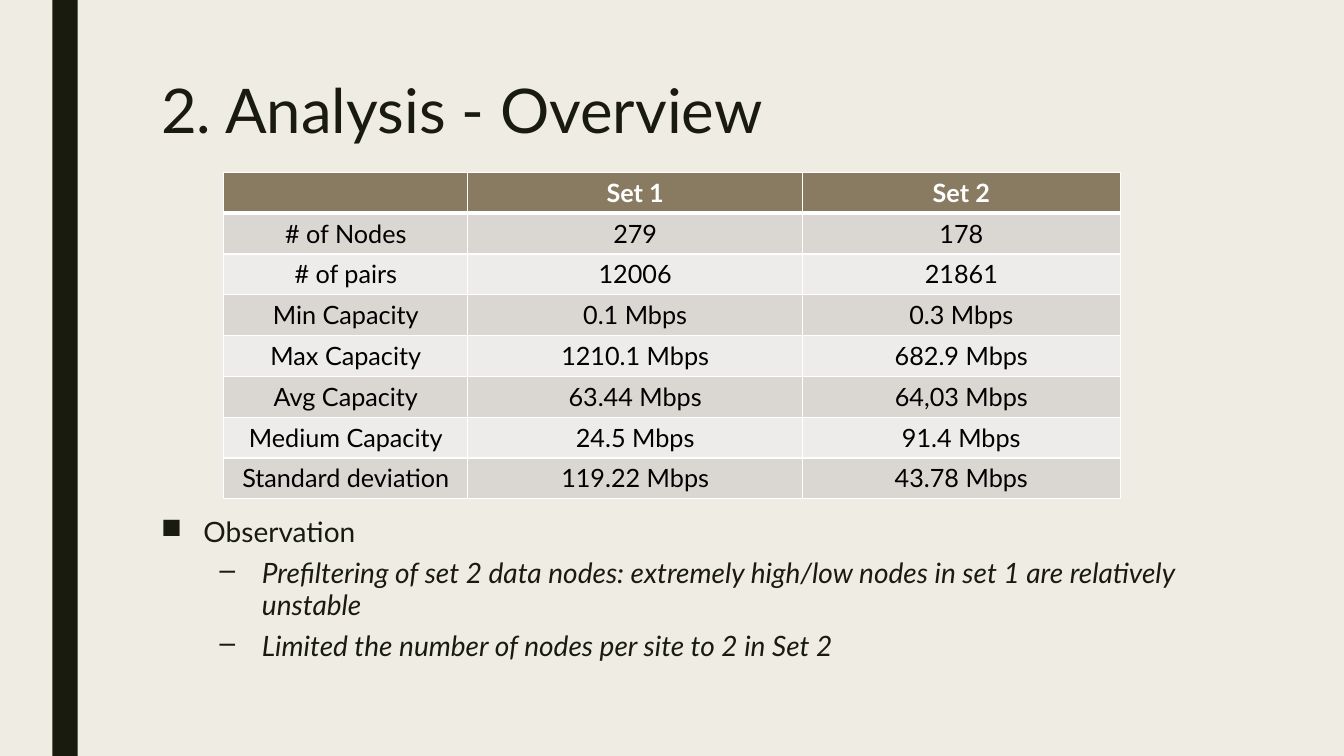
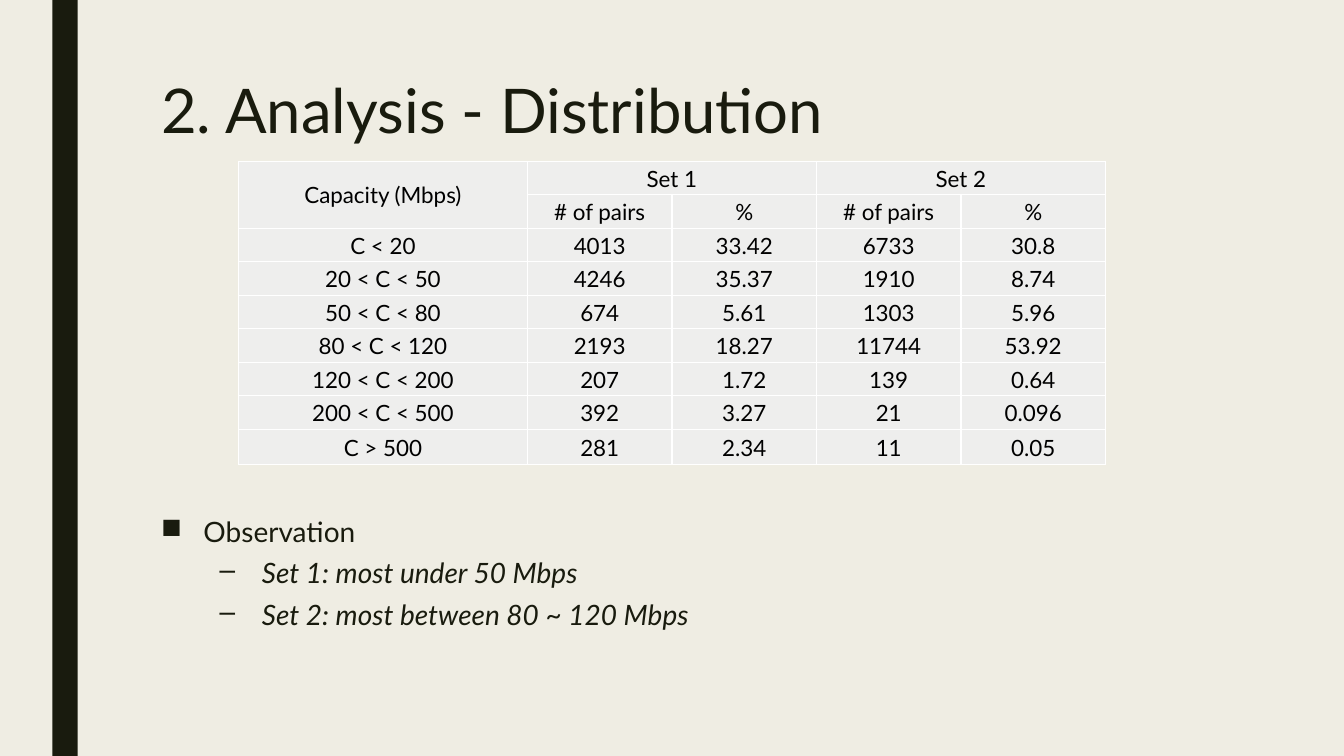
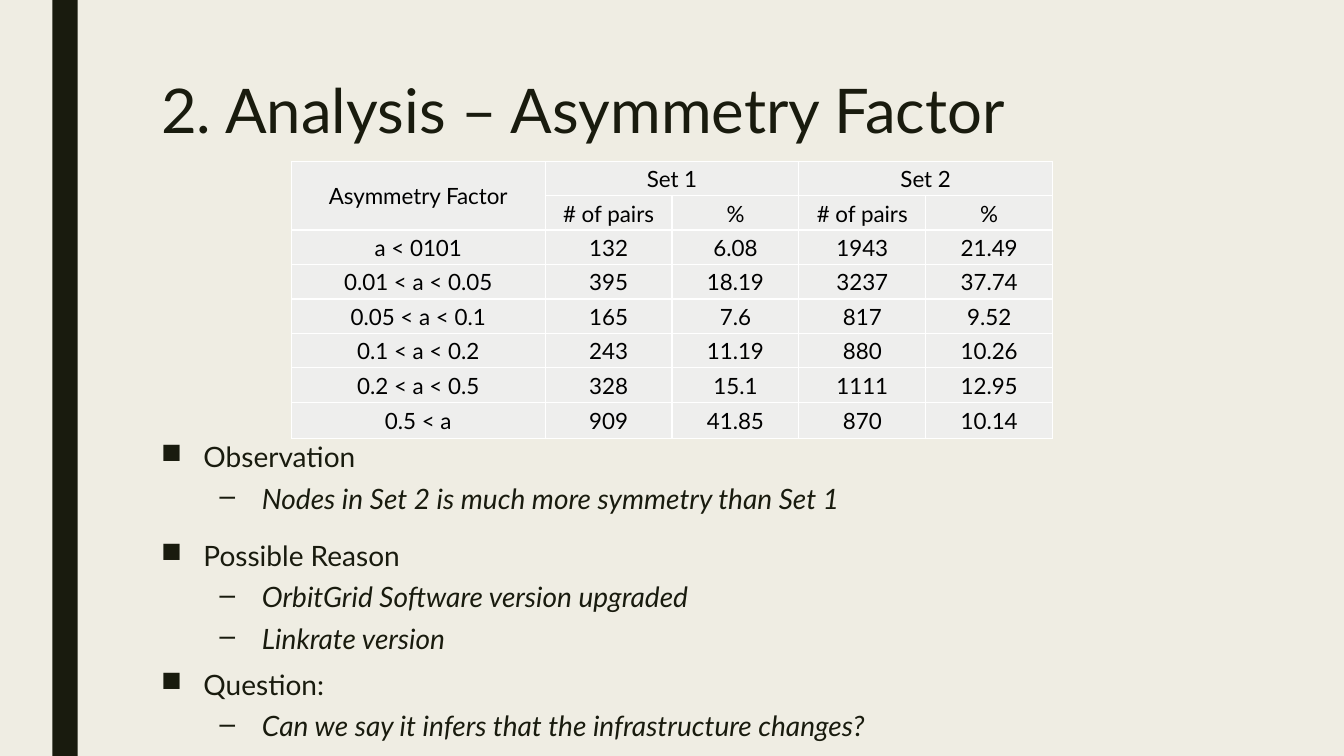
from dataclasses import dataclass

from lxml import etree
from pptx import Presentation
from pptx import util as u
from pptx.dml.color import RGBColor
from pptx.enum import shapes, text
from pptx.oxml import ns


@dataclass(frozen=True)
class Theme:
    font: str = "Lato"
    background: str = "EFEDE3"
    ink: str = "191B0E"
    black: str = "000000"
    white: str = "FFFFFF"
    header: str = "897B61"
    bands: tuple = ("DAD7D2", "EDECEA")
    plain: str = "EEEEED"
    title_size: int = 44
    body_size: int = 20
    table_size: int = 18
    grid_size: int = 16
    slide_width: float = 13.33
    slide_height: float = 7.5
    text_left: float = 1.5
    text_width: float = 10.5


class Deck:
    def __init__(self, theme):
        self.theme = theme
        self.presentation = Presentation()
        self.presentation.slide_width = u.Inches(theme.slide_width)
        self.presentation.slide_height = u.Inches(theme.slide_height)
        self.slide = None

    def style(self, paragraph, size, color, bold=False, italic=False):
        font = paragraph.font
        font.name = self.theme.font
        font.size = u.Pt(size)
        font.bold = bold
        font.italic = italic
        font.color.rgb = RGBColor.from_string(color)

    def new_slide(self, title):
        theme = self.theme
        self.slide = self.presentation.slides.add_slide(self.presentation.slide_layouts[6])
        fill = self.slide.background.fill
        fill.solid()
        fill.fore_color.rgb = RGBColor.from_string(theme.background)
        bar = self.slide.shapes.add_shape(
            shapes.MSO_SHAPE.RECTANGLE,
            u.Inches(0.52), 0, u.Inches(0.25), u.Inches(theme.slide_height))
        bar.shadow.inherit = False
        bar.fill.solid()
        bar.fill.fore_color.rgb = RGBColor.from_string(theme.ink)
        bar.line.fill.background()
        paragraph = self.text_frame(0.75, 0.85).paragraphs[0]
        paragraph.text = title
        paragraph.line_spacing = 0.89
        self.style(paragraph, theme.title_size, theme.ink)

    def text_frame(self, top, height):
        box = self.slide.shapes.add_textbox(
            u.Inches(self.theme.text_left), u.Inches(top),
            u.Inches(self.theme.text_width), u.Inches(height))
        box.text_frame.word_wrap = True
        return box.text_frame

    def bullets(self, top, height, heading, points):
        frame = self.text_frame(top, height)
        for index, line in enumerate([heading, *points]):
            is_point = index > 0
            paragraph = frame.add_paragraph() if is_point else frame.paragraphs[0]
            paragraph.text = line
            paragraph.level = int(is_point)
            paragraph.line_spacing = 0.94
            paragraph.space_before = u.Pt(5 if is_point else 10)
            paragraph.space_after = u.Pt(2)
            properties = paragraph._p.get_or_add_pPr()
            properties.set("marL", str(u.Inches(1 if is_point else 0.42)))
            properties.set("indent", str(-u.Inches(0.42)))
            bullet = etree.SubElement(properties, ns.qn("a:buChar"))
            bullet.set("char", "–" if is_point else "■")
            self.style(paragraph, self.theme.body_size, self.theme.ink, italic=is_point)

    def add_table(self, top, columns, heights, rows):
        width = sum(columns)
        frame = self.slide.shapes.add_table(
            len(rows), len(columns),
            u.Inches((self.theme.slide_width - width) / 2), u.Inches(top),
            u.Inches(width), u.Inches(sum(heights)))
        table = frame.table
        table.first_row = False
        table.horz_banding = False
        for column, size in zip(table.columns, columns):
            column.width = u.Inches(size)
        for row, size in zip(table.rows, heights):
            row.height = u.Inches(size)
        return table

    def fill_cell(self, cell, value, fill, size, color, bold=False, edges=None):
        properties = cell._tc.get_or_add_tcPr()
        for side in ("lnL", "lnR", "lnT", "lnB"):
            weight = (edges or {}).get(side, 1)
            line = etree.SubElement(properties, ns.qn(f"a:{side}"), w=str(u.Pt(weight)))
            solid = etree.SubElement(line, ns.qn("a:solidFill"))
            etree.SubElement(solid, ns.qn("a:srgbClr"), val=self.theme.white)
        cell.fill.solid()
        cell.fill.fore_color.rgb = RGBColor.from_string(fill)
        paragraph = cell.text_frame.paragraphs[0]
        paragraph.text = value
        paragraph.alignment = text.PP_ALIGN.CENTER
        self.style(paragraph, size, color, bold)

    def banded_table(self, top, columns, row_height, rows):
        theme = self.theme
        table = self.add_table(top, columns, [row_height] * len(rows), rows)
        for row_index, row in enumerate(rows):
            is_header = row_index == 0
            fill = theme.header if is_header else theme.bands[(row_index - 1) % 2]
            color = theme.white if is_header else theme.black
            edges = {0: {"lnB": 3}, 1: {"lnT": 3}}.get(row_index)
            for column_index, value in enumerate(row):
                self.fill_cell(table.cell(row_index, column_index), value, fill,
                               theme.table_size, color, is_header, edges)

    def grouped_table(self, width, height, last_row, label, records):
        rows = [(label, "Set 1", "", "Set 2", ""),
                ("", "# of pairs", "%", "# of pairs", "%"), *records]
        unit = width / 6
        row_height = (height - last_row) / (len(rows) - 1)
        heights = [row_height] * (len(rows) - 1) + [last_row]
        table = self.add_table(1.6, [2 * unit] + [unit] * 4, heights, rows)
        for row_index, row in enumerate(rows):
            for column_index, value in enumerate(row):
                cell = table.cell(row_index, column_index)
                cell.vertical_anchor = text.MSO_ANCHOR.MIDDLE
                cell.margin_left = cell.margin_right = cell.margin_top = u.Inches(0.01)
                cell.margin_bottom = 0
                self.fill_cell(cell, value, self.theme.plain,
                               self.theme.grid_size, self.theme.black)
        table.cell(0, 0).merge(table.cell(1, 0))
        for first in (1, 3):
            table.cell(0, first).merge(table.cell(0, first + 1))


def main():
    deck = Deck(Theme())

    deck.new_slide("2. Analysis - Overview")
    deck.banded_table(1.71, [2.42, 3.32, 3.15], 0.405, [
        ("", "Set 1", "Set 2"),
        ("# of Nodes", "279", "178"),
        ("# of pairs", "12006", "21861"),
        ("Min Capacity", "0.1 Mbps", "0.3 Mbps"),
        ("Max Capacity", "1210.1 Mbps", "682.9 Mbps"),
        ("Avg Capacity", "63.44 Mbps", "64,03 Mbps"),
        ("Medium Capacity", "24.5 Mbps", "91.4 Mbps"),
        ("Standard deviation", "119.22 Mbps", "43.78 Mbps"),
    ])
    deck.bullets(5.08, 1.9, "Observation", [
        "Prefiltering of set 2 data nodes: extremely high/low nodes in set 1 are relatively unstable",
        "Limited the number of nodes per site to 2 in Set 2",
    ])

    deck.new_slide("2. Analysis - Distribution")
    deck.bullets(5.08, 1.46, "Observation", [
        "Set 1: most under 50 Mbps",
        "Set 2: most between 80 ~ 120 Mbps",
    ])
    deck.grouped_table(8.6, 3.01, 0.35, "Capacity (Mbps)", [
        ("C < 20", "4013", "33.42", "6733", "30.8"),
        ("20 < C < 50", "4246", "35.37", "1910", "8.74"),
        ("50 < C < 80", "674", "5.61", "1303", "5.96"),
        ("80 < C < 120", "2193", "18.27", "11744", "53.92"),
        ("120 < C < 200", "207", "1.72", "139", "0.64"),
        ("200 < C < 500", "392", "3.27", "21", "0.096"),
        ("C > 500", "281", "2.34", "11", "0.05"),
    ])

    deck.new_slide("2. Analysis – Asymmetry Factor")
    deck.grouped_table(7.55, 2.75, 0.36, "Asymmetry Factor", [
        ("a < 0101", "132", "6.08", "1943", "21.49"),
        ("0.01 < a < 0.05", "395", "18.19", "3237", "37.74"),
        ("0.05 < a < 0.1", "165", "7.6", "817", "9.52"),
        ("0.1 < a < 0.2", "243", "11.19", "880", "10.26"),
        ("0.2 < a < 0.5", "328", "15.1", "1111", "12.95"),
        ("0.5 < a", "909", "41.85", "870", "10.14"),
    ])
    deck.bullets(4.34, 0.97, "Observation", [
        "Nodes in Set 2 is much more symmetry than Set 1",
    ])
    deck.bullets(5.32, 1.29, "Possible Reason", [
        "OrbitGrid Software version upgraded",
        "Linkrate version",
    ])
    deck.bullets(6.6, 0.97, "Question:", [
        "Can we say it infers that the infrastructure changes?",
    ])

    deck.presentation.save("out.pptx")


if __name__ == "__main__":
    main()
